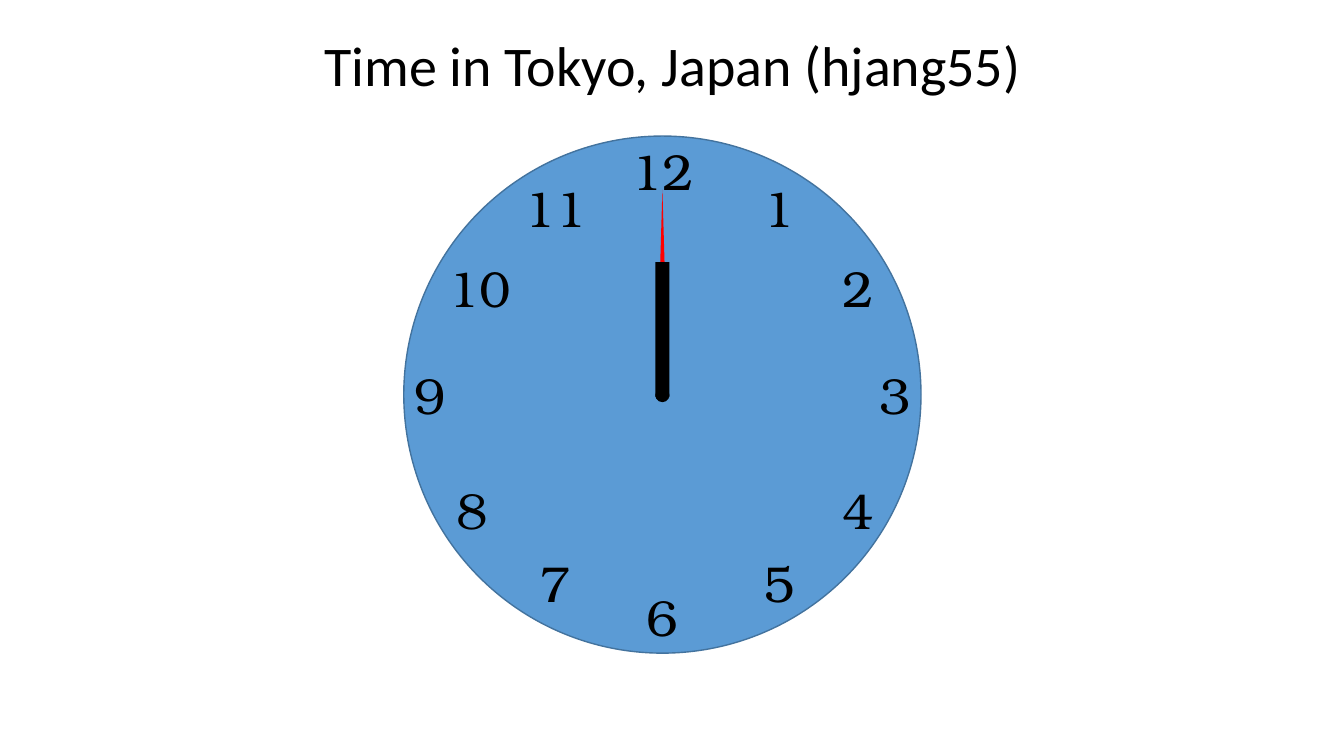
"""Draw a clock face that shows the time in Tokyo."""
from dataclasses import dataclass

from pptx import Presentation
from pptx.dml.color import RGBColor
from pptx.enum.shapes import MSO_SHAPE
from pptx.enum.text import MSO_ANCHOR, MSO_AUTO_SIZE, PP_ALIGN
from pptx.slide import Slide
from pptx.text.text import TextFrame
from pptx.util import Inches, Pt

OVAL = MSO_SHAPE.OVAL
WEDGE = MSO_SHAPE.ISOSCELES_TRIANGLE
BAR = MSO_SHAPE.RECTANGLE
TOP = MSO_ANCHOR.TOP
GROW = MSO_AUTO_SIZE.SHAPE_TO_FIT_TEXT
CENTER = PP_ALIGN.CENTER

COLORS = {"face": "5B9BD5", "rim": "43739E", "ink": "000000", "second": "FF0000"}
MID = 6.57


@dataclass
class Part:
    """A filled shape centred across the clock."""
    kind: MSO_SHAPE
    top: float
    width: float
    height: float
    fill: str
    rim: str = ""


@dataclass
class Hour:
    """A numeral and the centre of its box."""
    text: str
    x: float
    y: float


FACE = Part(OVAL, 1.35, 5.13, 5.13, "face", "rim")
HANDS = [
    Part(OVAL, 3.85, 0.14, 0.14, "ink"),
    Part(WEDGE, 1.88, 0.12, 2.04, "second"),
    Part(BAR, 2.6, 0.14, 1.34, "ink"),
]
HOURS = [
    Hour("12", MID, 1.7), Hour("3", 8.88, 3.92),
    Hour("6", MID, 6.12), Hour("9", 4.27, 3.92),
    Hour("1", 7.73, 2.06), Hour("2", 8.51, 2.86),
    Hour("4", 8.51, 5.06), Hour("5", 7.73, 5.78),
    Hour("7", 5.51, 5.78), Hour("8", 4.68, 5.06),
    Hour("10", 4.76, 2.86), Hour("11", 5.51, 2.06),
]


def color(name: str) -> RGBColor:
    """Look up a named colour."""
    return RGBColor.from_string(COLORS[name])


def write(frame: TextFrame, text: str, font: str, size: int, wrap: bool) -> None:
    """Fill a frame with one centred line."""
    frame.text = text
    frame.word_wrap = wrap
    frame.auto_size = GROW
    frame.vertical_anchor = TOP
    line = frame.paragraphs[0]
    line.alignment = CENTER
    line.font.name = font
    line.font.size = Pt(size)
    line.font.color.rgb = color("ink")


def draw(slide: Slide, part: Part) -> None:
    """Add one part of the clock."""
    shape = slide.shapes.add_shape(
        part.kind, Inches(MID - part.width / 2), Inches(part.top),
        Inches(part.width), Inches(part.height))
    shape.shadow.inherit = False
    shape.fill.solid()
    shape.fill.fore_color.rgb = color(part.fill)
    if part.rim:
        shape.line.color.rgb = color(part.rim)
        shape.line.width = Pt(1)
    else:
        shape.line.fill.background()


def label(slide: Slide, hour: Hour) -> None:
    """Add one numeral around its centre."""
    width = 0.83 if len(hour.text) > 1 else 0.52
    height = 0.71
    box = slide.shapes.add_textbox(
        Inches(hour.x - width / 2), Inches(hour.y - height / 2),
        Inches(width), Inches(height))
    write(box.text_frame, hour.text, "TeX Gyre Bonum", 36, False)


def main() -> None:
    """Build and save the slide."""
    deck = Presentation()
    deck.slide_width, deck.slide_height = Inches(13.33), Inches(7.5)
    slide = deck.slides.add_slide(deck.slide_layouts[5])
    title = slide.shapes.title
    title.left, title.top = Inches(3.03), Inches(0.25)
    title.width, title.height = Inches(7.28), Inches(0.77)
    write(title.text_frame, "Time in Tokyo, Japan (hjang55)", "Calibri", 40, True)
    draw(slide, FACE)
    for hour in HOURS:
        label(slide, hour)
    for hand in HANDS:
        draw(slide, hand)
    deck.save("out.pptx")


if __name__ == "__main__":
    main()
